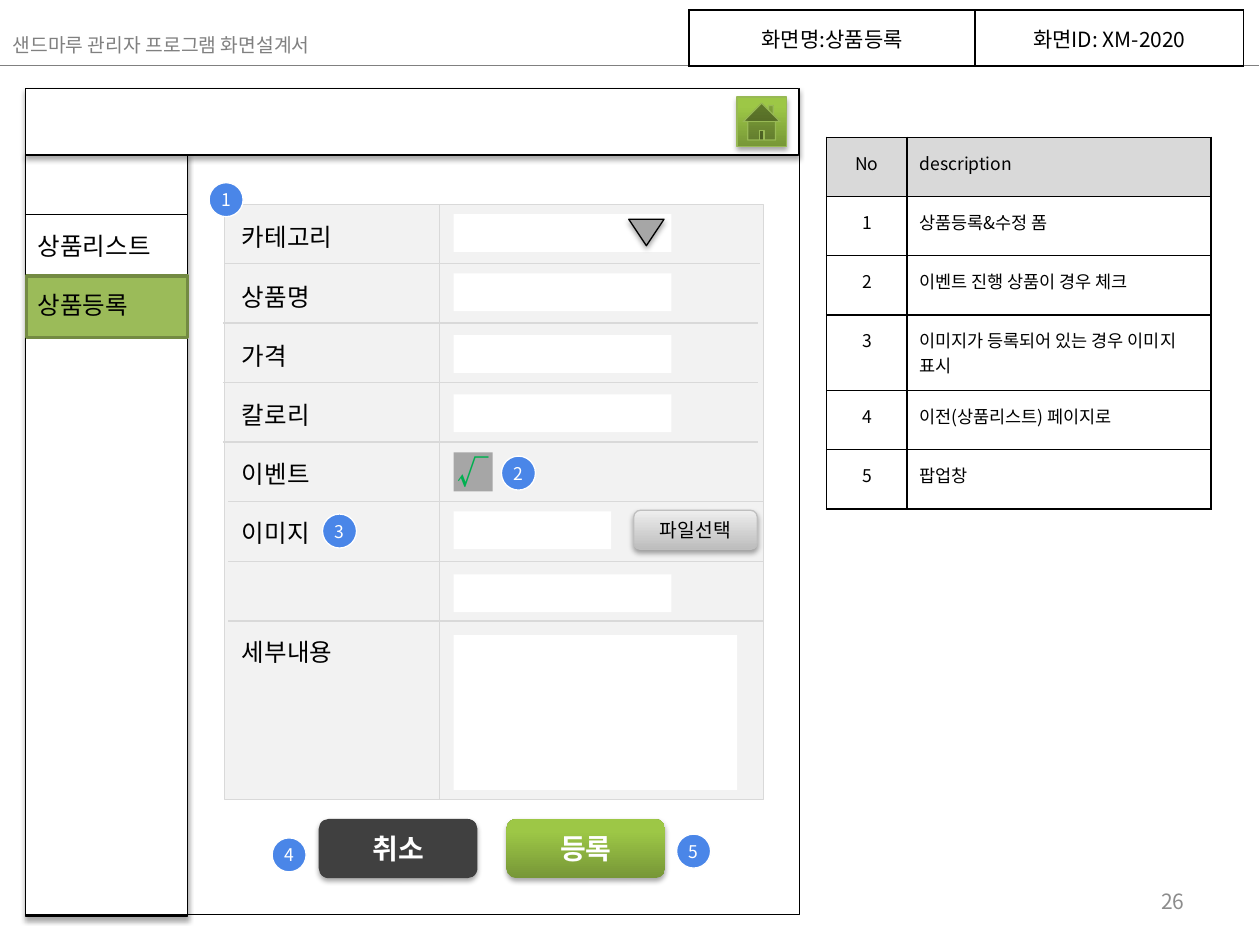
from lxml import etree
from pptx import Presentation
from pptx import util as u
from pptx.dml import color
from pptx.enum import shapes, text
from pptx.oxml import ns

Inches, Pt = u.Inches, u.Pt
SHAPE, ALIGN, ANCHOR = shapes.MSO_SHAPE, text.PP_ALIGN, text.MSO_ANCHOR

GREEN_GRADIENT = ("779737", "9DC746", 0.8)
GRAY_GRADIENT = ("BDBDBD", "EEEEEE", 1)
ROW_PITCH = 0.47


def rgb(value):
    return color.RGBColor.from_string(value)


def add_node(parent, tag, **attributes):
    return etree.SubElement(parent, ns.qn(tag), attributes)


class Screen:
    font = "Noto Sans CJK KR"

    def __init__(self, slide):
        self.slide = slide

    def format(self, frame, size, ink="000000", bold=False, align=ALIGN.LEFT):
        for paragraph in frame.paragraphs:
            paragraph.alignment = align
            for run in paragraph.runs:
                run.font.size = Pt(size)
                run.font.bold = bold
                run.font.color.rgb = rgb(ink)
                run.font.name = self.font
                add_node(run.font._element, "a:ea", typeface=self.font)

    def margins(self, frame, side, end):
        frame.margin_left = frame.margin_right = Inches(side)
        frame.margin_top = frame.margin_bottom = Inches(end)

    def shape(self, kind, left, top, width, height, fill=None, line=None,
              weight=0.75, shadow=False, words="", size=10, ink="000000", bold=False):
        shape = self.slide.shapes.add_shape(
            kind, Inches(left), Inches(top), Inches(width), Inches(height))
        if fill is None:
            shape.fill.background()
        elif isinstance(fill, tuple):
            shape.fill.gradient()
            shape.fill.gradient_angle = 90
            for stop, value, position in zip(shape.fill.gradient_stops, fill, (0, fill[2])):
                stop.color.rgb = rgb(value)
                stop.position = position
        else:
            shape.fill.solid()
            shape.fill.fore_color.rgb = rgb(fill)
        if line:
            shape.line.color.rgb = rgb(line)
            shape.line.width = Pt(weight)
        else:
            shape.line.fill.background()
        shape.shadow.inherit = False
        if shadow:
            effects = shape._element.spPr.find(ns.qn("a:effectLst"))
            outer = add_node(effects, "a:outerShdw", blurRad=str(Pt(3.1)),
                             dist=str(Pt(1.8)), dir="5400000", rotWithShape="0")
            tint = add_node(outer, "a:srgbClr", val="000000")
            add_node(tint, "a:alpha", val="35000")
        if words:
            frame = shape.text_frame
            frame.text = words
            frame.word_wrap = False
            frame.vertical_anchor = ANCHOR.MIDDLE
            self.margins(frame, 0, 0)
            self.format(frame, size, ink, bold, ALIGN.CENTER)

    def line(self, x1, y1, x2, y2, ink="000000", weight=0.75):
        connector = self.slide.shapes.add_connector(
            shapes.MSO_CONNECTOR.STRAIGHT, Inches(x1), Inches(y1), Inches(x2), Inches(y2))
        connector.line.color.rgb = rgb(ink)
        connector.line.width = Pt(weight)
        add_node(connector._element.spPr, "a:effectLst")

    def place(self, shape, left, top, width, height):
        shape.left, shape.top = Inches(left), Inches(top)
        shape.width, shape.height = Inches(width), Inches(height)
        self.margins(shape.text_frame, 0.1, 0.05)
        shape.text_frame.word_wrap = True
        shape.text_frame.auto_size = text.MSO_AUTO_SIZE.NONE

    def title(self, words):
        title = self.slide.shapes.title
        self.place(title, 0, 0.21, 4.28, 0.29)
        title.text_frame.text = words
        title.text_frame.vertical_anchor = ANCHOR.MIDDLE
        self.format(title.text_frame, 11, "808080")

    def labels(self, index, words, left, top, width, height):
        body = self.slide.placeholders[index]
        self.slide.shapes._spTree.append(body._element)
        self.place(body, left, top, width, height)
        frame = body.text_frame
        frame.text = "\n".join(words)
        frame.vertical_anchor = ANCHOR.TOP
        self.format(frame, 14)
        for paragraph in frame.paragraphs:
            paragraph.line_spacing = Pt(20)
            paragraph.space_before = Pt(0)
            paragraph.space_after = Pt(ROW_PITCH * 72 - 20)
            properties = paragraph._p.get_or_add_pPr()
            properties.set("marL", "0")
            properties.set("indent", "0")
            add_node(properties, "a:buNone")
        return frame.paragraphs

    def number(self, words):
        box = self.slide.shapes.add_textbox(0, 0, 0, 0)
        self.place(box, 7.17, 6.95, 2.33, 0.4)
        box.text_frame.text = words
        box.text_frame.vertical_anchor = ANCHOR.MIDDLE
        self.format(box.text_frame, 12, "8C8C8C", align=ALIGN.RIGHT)

    def badge(self, words, left, top):
        self.shape(SHAPE.OVAL, left, top, 0.27, 0.27, "4A86E8", "FFFFFF",
                   words=words, ink="FFFFFF")

    def border(self, cell):
        properties = cell._tc.get_or_add_tcPr()
        for position, side in enumerate(("a:lnL", "a:lnR", "a:lnT", "a:lnB")):
            edge = etree.Element(ns.qn(side), w=str(Pt(1)))
            add_node(add_node(edge, "a:solidFill"), "a:srgbClr", val="000000")
            properties.insert(position, edge)

    def table(self, rows, left, top, widths, height, size, centered, header_fill=None):
        table = self.slide.shapes.add_table(
            len(rows), len(widths), Inches(left), Inches(top),
            Inches(sum(widths)), Inches(height * len(rows))).table
        table.first_row = table.horz_banding = False
        for column, width in zip(table.columns, widths):
            column.width = Inches(width)
        for r, row in enumerate(rows):
            for c, words in enumerate(row):
                cell = table.cell(r, c)
                cell.text_frame.text = words
                self.margins(cell, 0.1, 0.1)
                if header_fill and r == 0:
                    cell.fill.solid()
                    cell.fill.fore_color.rgb = rgb(header_fill)
                else:
                    cell.fill.background()
                align = ALIGN.CENTER if c in centered else ALIGN.LEFT
                self.format(cell.text_frame, size, align=align)
                self.border(cell)


def main():
    presentation = Presentation()
    presentation.slide_width, presentation.slide_height = Inches(10), Inches(7.5)
    screen = Screen(presentation.slides.add_slide(presentation.slide_layouts[3]))

    screen.title("샌드마루 관리자 프로그램 화면설계서")
    screen.line(0, 0.52, 9.99, 0.52, "808080", 1)
    screen.table([("화면명:상품등록", "화면ID: XM-2020")],
                 5.47, 0.08, (2.27, 2.13), 0.42, 12, (0, 1))
    descriptions = ["상품등록&수정 폼", "이벤트 진행 상품이 경우 체크",
                    "이미지가 등록되어 있는 경우 이미지 표시",
                    "이전(상품리스트) 페이지로", "팝업창"]
    rows = [("No", "description")]
    rows += [(str(n), words) for n, words in enumerate(descriptions, 1)]
    screen.table(rows, 6.56, 1.09, (0.64, 2.41), ROW_PITCH, 10, (0,), "D9D9D9")

    screen.shape(SHAPE.RECTANGLE, 0.2, 1.23, 1.29, 6.04, "FFFFFF", "000000", shadow=True)
    screen.shape(SHAPE.RECTANGLE, 0.2, 0.7, 6.14, 6.56, None, "000000", 0.25)
    screen.shape(SHAPE.RECTANGLE, 0.2, 0.7, 6.14, 0.53, "FFFFFF", "000000", shadow=True)
    screen.shape(SHAPE.ACTION_BUTTON_HOME, 5.85, 0.77, 0.39, 0.39,
                 GREEN_GRADIENT, "98B955", shadow=True)
    for y in (1.7, 2.19, 2.67):
        screen.line(0.2, y, 1.49, y)
    screen.shape(SHAPE.RECTANGLE, 0.21, 2.19, 1.28, 0.49, "9BBB59", "738A42", 2)
    screen.labels(1, ["상품리스트", "상품등록"], 0.2, 1.74, 1.28, 0.9)

    screen.shape(SHAPE.RECTANGLE, 1.78, 1.62, 4.28, 4.72, "F2F2F2", "D9D9D9", 0.25)
    screen.line(3.49, 1.62, 3.49, 6.35, "D9D9D9")
    for row, left in enumerate((1.78, 1.77, 1.77, 1.77, 1.81, 1.81, 1.81)):
        y = 2.09 + row * 0.473
        screen.line(left, y, left + 4.25, y, "D9D9D9")
    for top, width, height in ((1.7, 1.73, 0.3), (2.17, 1.73, 0.3), (2.66, 1.73, 0.3),
                               (3.13, 1.73, 0.3), (4.06, 1.25, 0.3), (4.56, 1.73, 0.3),
                               (5.04, 2.25, 1.23)):
        screen.shape(SHAPE.RECTANGLE, 3.6, top, width, height, "FFFFFF")
    paragraphs = screen.labels(
        2, ["카테고리", "상품명", "가격", "칼로리", "이벤트", "이미지", "세부내용"],
        1.82, 1.67, 1.5, 3.7)
    paragraphs[-1].space_before = Pt(ROW_PITCH * 72)

    screen.shape(SHAPE.FLOWCHART_MERGE, 4.99, 1.74, 0.28, 0.21, "A6A6A6", "000000", shadow=True)
    screen.shape(SHAPE.RECTANGLE, 3.6, 3.59, 0.31, 0.31, "A6A6A6",
                 words="√", size=18, ink="00B050", bold=True)
    for words, left, top, width, height, fill, line, size, ink, bold in (
            ("파일선택", 5.03, 4.05, 0.98, 0.31, GRAY_GRADIENT, "BFBFBF", 11, "000000", False),
            ("취소", 2.53, 6.5, 1.26, 0.47, "404040", None, 16, "FFFFFF", True),
            ("등록", 4.02, 6.5, 1.26, 0.47, GREEN_GRADIENT, None, 16, "FFFFFF", True)):
        screen.shape(SHAPE.ROUNDED_RECTANGLE, left, top, width, height, fill, line,
                     shadow=True, words=words, size=size, ink=ink, bold=bold)

    badges = ((1.66, 1.45), (3.98, 3.62), (2.56, 4.08), (2.16, 6.65), (5.37, 6.62))
    for n, (left, top) in enumerate(badges, 1):
        screen.badge(str(n), left, top)
    screen.number("26")
    presentation.save("out.pptx")


if __name__ == "__main__":
    main()
